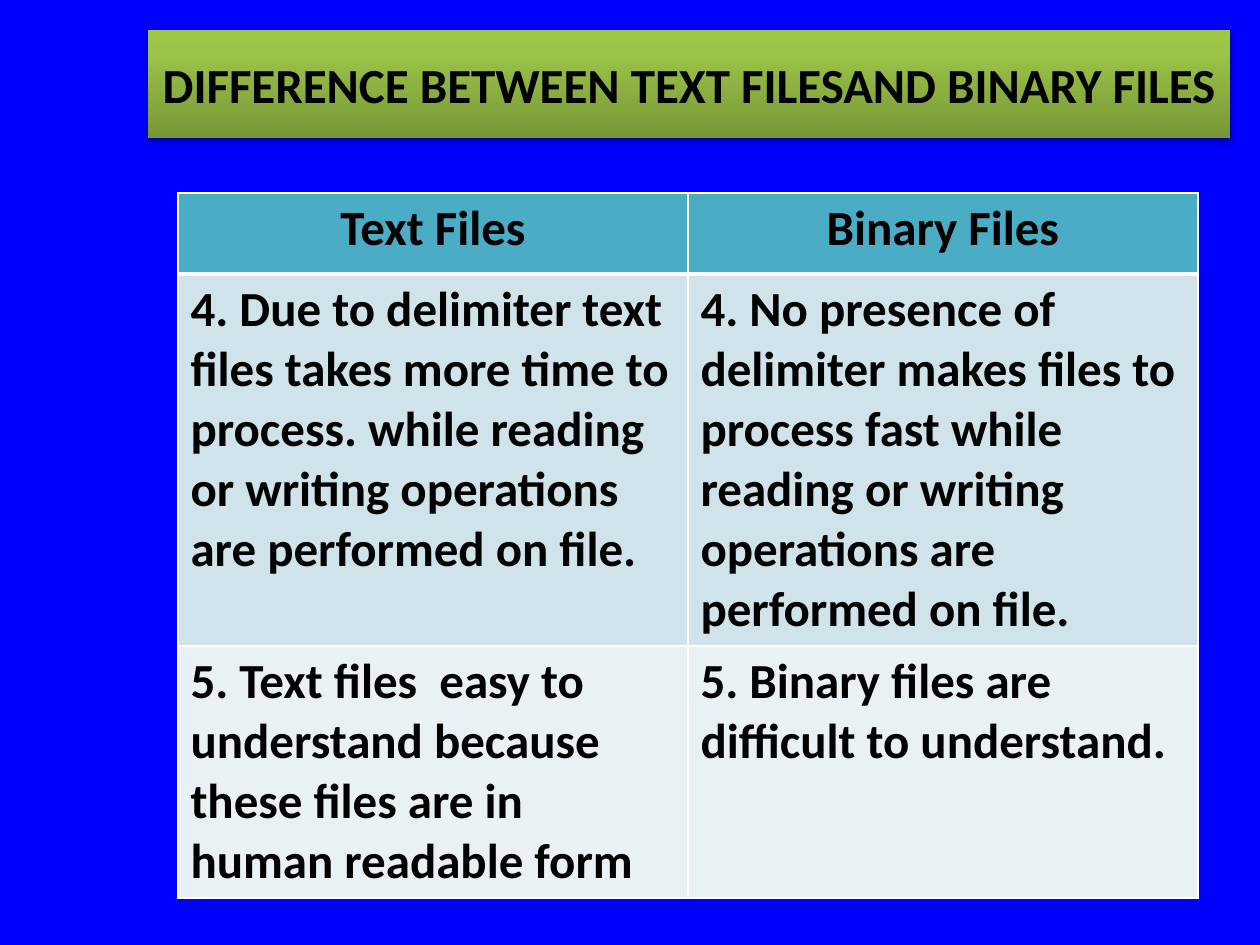
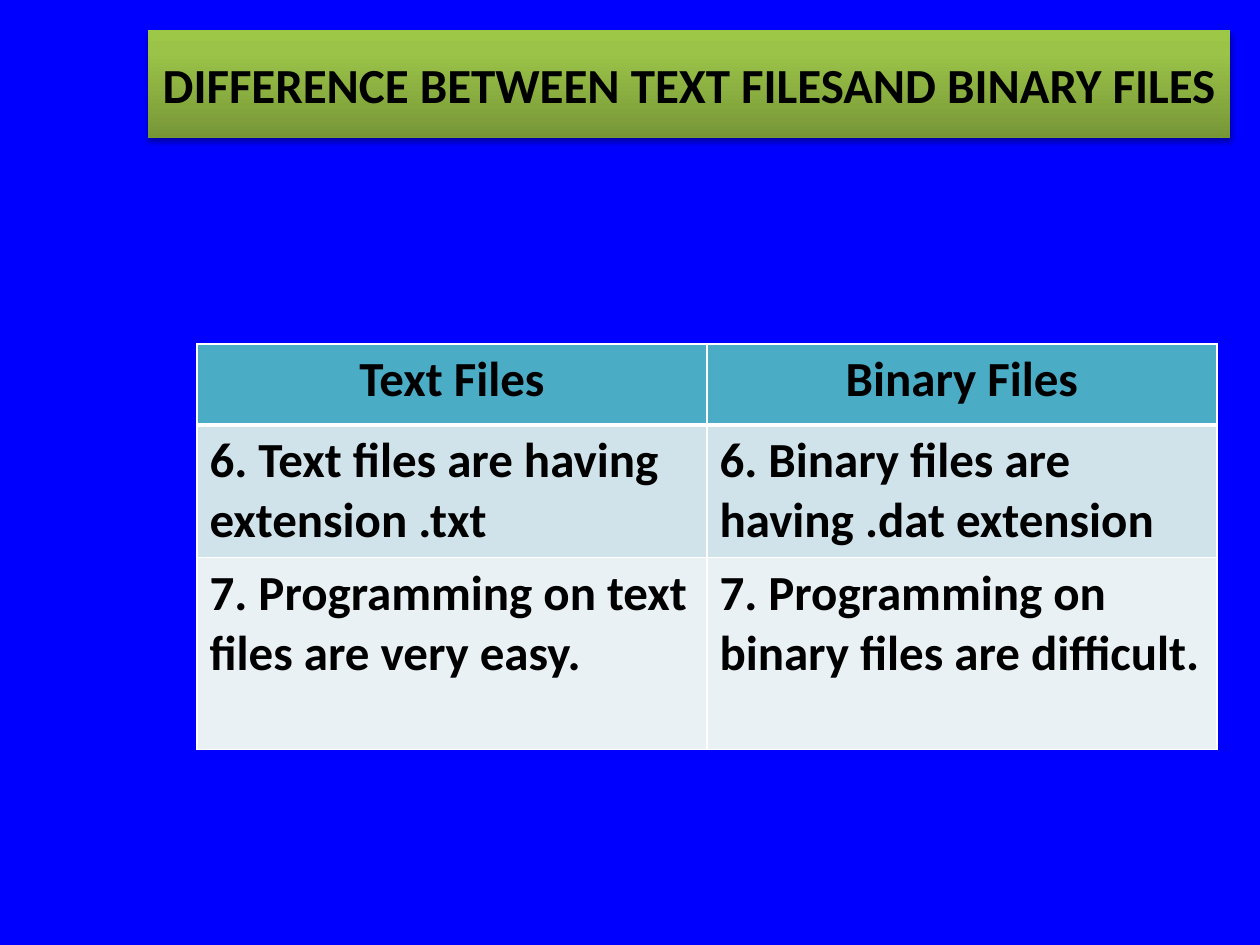
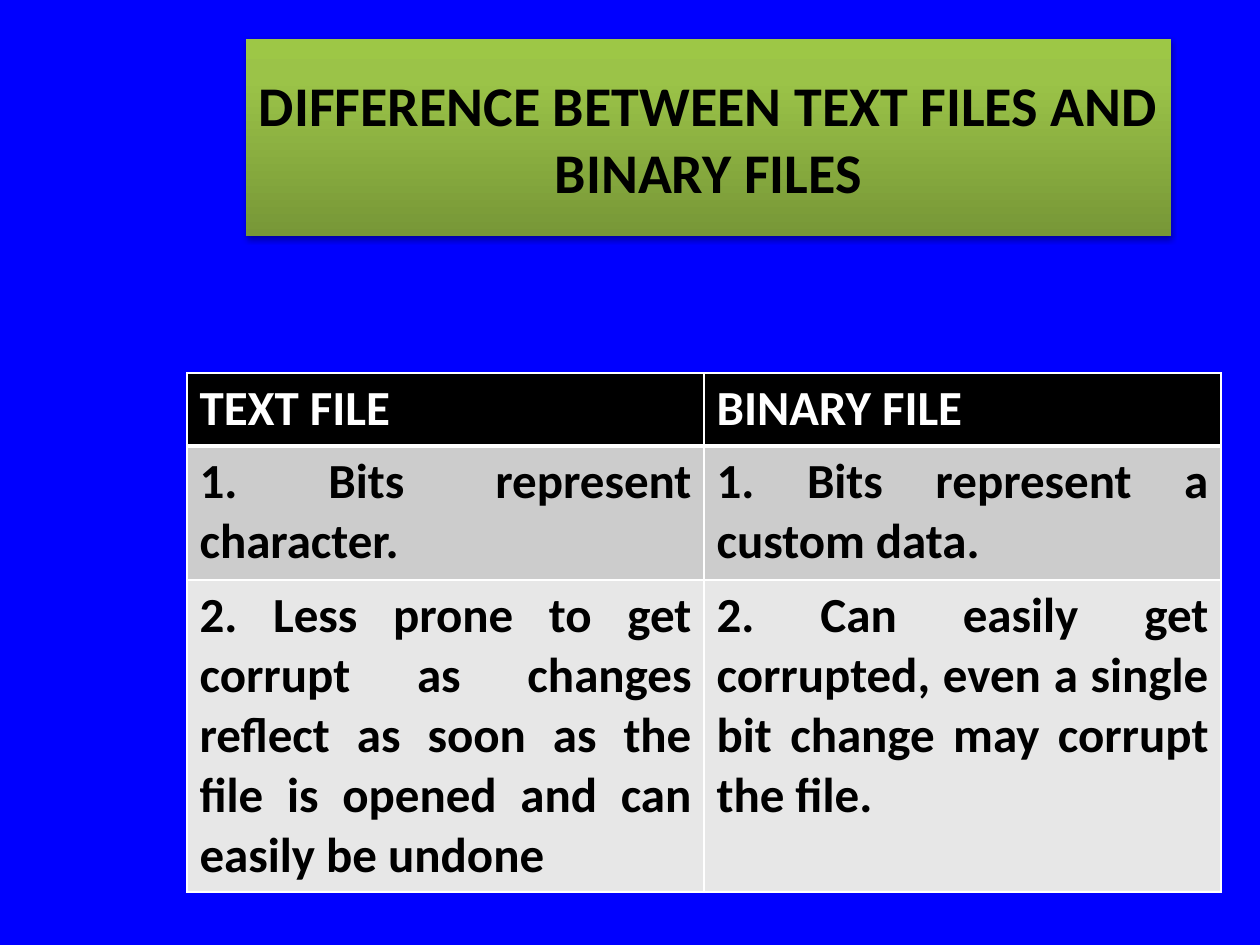
from lxml import etree
from pptx import Presentation
from pptx.dml.color import RGBColor
from pptx.enum.shapes import MSO_SHAPE
from pptx.enum.text import MSO_ANCHOR, PP_ALIGN
from pptx.oxml import parse_xml
from pptx.oxml.ns import nsdecls, qn
from pptx.util import Emu, Pt

PX_PER_INCH = 126
FONT = "Calibri"
COLORS = {
    "background": "0000FF",
    "banner_dark": "779737",
    "banner_mid": "9BC348",
    "banner_light": "9DC746",
    "black": "000000",
    "white": "FFFFFF",
    "teal": "4BACC6",
    "teal_band": "D0E3EA",
    "teal_pale": "E9F1F5",
    "gray_band": "CCCCCC",
    "gray_pale": "E7E7E7",
}
BANNER_STOPS = [(0, "banner_dark"), (80, "banner_mid"), (100, "banner_light")]
TEAL_STYLE = {
    "fills": ["teal", "teal_band", "teal_pale"],
    "header_color": "black",
    "header_align": PP_ALIGN.CENTER,
    "body_align": PP_ALIGN.LEFT,
}
GRAY_STYLE = {
    "fills": ["black", "gray_band", "gray_pale"],
    "header_color": "white",
    "header_align": PP_ALIGN.LEFT,
    "body_align": PP_ALIGN.JUSTIFY,
}


def px(n):
    return Emu(round(n * 914400 / PX_PER_INCH))


def rgb(name):
    return RGBColor.from_string(COLORS[name])


class Deck:
    def __init__(self):
        self.prs = Presentation()
        self.prs.slide_width = px(1260)
        self.prs.slide_height = px(945)
        self.slide = None

    def add_slide(self):
        self.slide = self.prs.slides.add_slide(self.prs.slide_layouts[6])
        fill = self.slide.background.fill
        fill.solid()
        fill.fore_color.rgb = rgb("background")

    def add_text(self, tf, text, size, color, align):
        p = tf.paragraphs[0]
        p.alignment = align
        r = p.add_run()
        r.text = text
        r.font.name = FONT
        r.font.size = Pt(size)
        r.font.bold = True
        r.font.color.rgb = rgb(color)

    def banner(self, text, x, y, w, h, size):
        """Add the green title bar, with its gradient and soft shadow."""
        sp = self.slide.shapes.add_shape(MSO_SHAPE.RECTANGLE, px(x), px(y), px(w), px(h))
        sp.shadow.inherit = False
        sp.line.fill.background()
        stops = "".join(
            f'<a:gs pos="{pos * 1000}"><a:srgbClr val="{COLORS[name]}"/></a:gs>'
            for pos, name in BANNER_STOPS
        )
        sp_pr = sp.element.spPr
        sp_pr.find(qn("a:prstGeom")).addnext(parse_xml(
            f'<a:gradFill {nsdecls("a")} rotWithShape="1"><a:gsLst>{stops}</a:gsLst>'
            '<a:lin ang="16200000" scaled="0"/></a:gradFill>'
        ))
        sp_pr.find(qn("a:effectLst")).append(parse_xml(
            f'<a:outerShdw {nsdecls("a")} blurRad="{Pt(3.1)}" dist="{Pt(1.8)}" '
            f'dir="5400000" rotWithShape="0"><a:srgbClr val="{COLORS["black"]}">'
            '<a:alpha val="35000"/></a:srgbClr></a:outerShdw>'
        ))
        tf = sp.text_frame
        tf.word_wrap = True
        tf.vertical_anchor = MSO_ANCHOR.MIDDLE
        self.add_text(tf, text, size, "black", PP_ALIGN.CENTER)

    def borders(self, cell, widths):
        """Draw white cell borders, with widths in points keyed by side."""
        tc_pr = cell._tc.get_or_add_tcPr()
        for side in "LRTB":
            ln = etree.SubElement(tc_pr, qn(f"a:ln{side}"), w=str(Pt(widths.get(side, 1))))
            fill = etree.SubElement(ln, qn("a:solidFill"))
            etree.SubElement(fill, qn("a:srgbClr"), val=COLORS["white"])

    def table(self, rows, x, y, col_width, heights, style):
        """Add a comparison table whose first row is the header."""
        cols = len(rows[0])
        table = self.slide.shapes.add_table(
            len(rows), cols, px(x), px(y), px(col_width * cols), px(sum(heights))
        ).table
        table.horz_banding = False
        for col in table.columns:
            col.width = px(col_width)
        for i, texts in enumerate(rows):
            table.rows[i].height = px(heights[i])
            header = i == 0
            color = style["header_color"] if header else "black"
            align = style["header_align" if header else "body_align"]
            widths = {0: {"B": 3}, 1: {"T": 3}}.get(i, {})
            for j, text in enumerate(texts):
                cell = table.cell(i, j)
                self.borders(cell, widths)
                cell.fill.solid()
                cell.fill.fore_color.rgb = rgb(style["fills"][i])
                self.add_text(cell.text_frame, text, 28, color, align)


def main():
    deck = Deck()
    header = ("Text Files", "Binary Files")
    processing = [
        header,
        ("4. Due to delimiter text files takes more time to process. while reading "
         "or writing operations are performed on file.",
         "4. No presence of delimiter makes files to process fast while reading "
         "or writing operations are performed on file."),
        ("5. Text files  easy to understand because these files are in human readable form",
         "5. Binary files are difficult to understand."),
    ]
    extensions = [
        header,
        ("6. Text files are having extension .txt",
         "6. Binary files are having .dat extension"),
        ("7. Programming on text files are very easy.",
         "7. Programming on binary files are difficult."),
    ]
    for rows, x, y, heights in [
        (processing, 178, 193, (81, 372, 252)),
        (extensions, 197, 344, (81, 132, 192)),
    ]:
        deck.add_slide()
        deck.banner("DIFFERENCE BETWEEN TEXT FILESAND BINARY FILES", 148, 30, 1082, 108, 28)
        deck.table(rows, x, y, 510, heights, TEAL_STYLE)

    bits = [
        ("TEXT FILE", "BINARY FILE"),
        ("1. Bits represent character.", "1. Bits represent a custom data."),
        ("2. Less prone to get corrupt as changes reflect as soon as the file is "
         "opened and can easily be undone",
         "2. Can easily get corrupted, even a single bit change may corrupt the file."),
    ]
    deck.add_slide()
    deck.banner("DIFFERENCE BETWEEN TEXT FILES AND BINARY FILES", 246, 39, 925, 197, 32)
    deck.table(bits, 187, 373, 517, (73, 134, 312), GRAY_STYLE)
    deck.prs.save("out.pptx")


if __name__ == "__main__":
    main()
